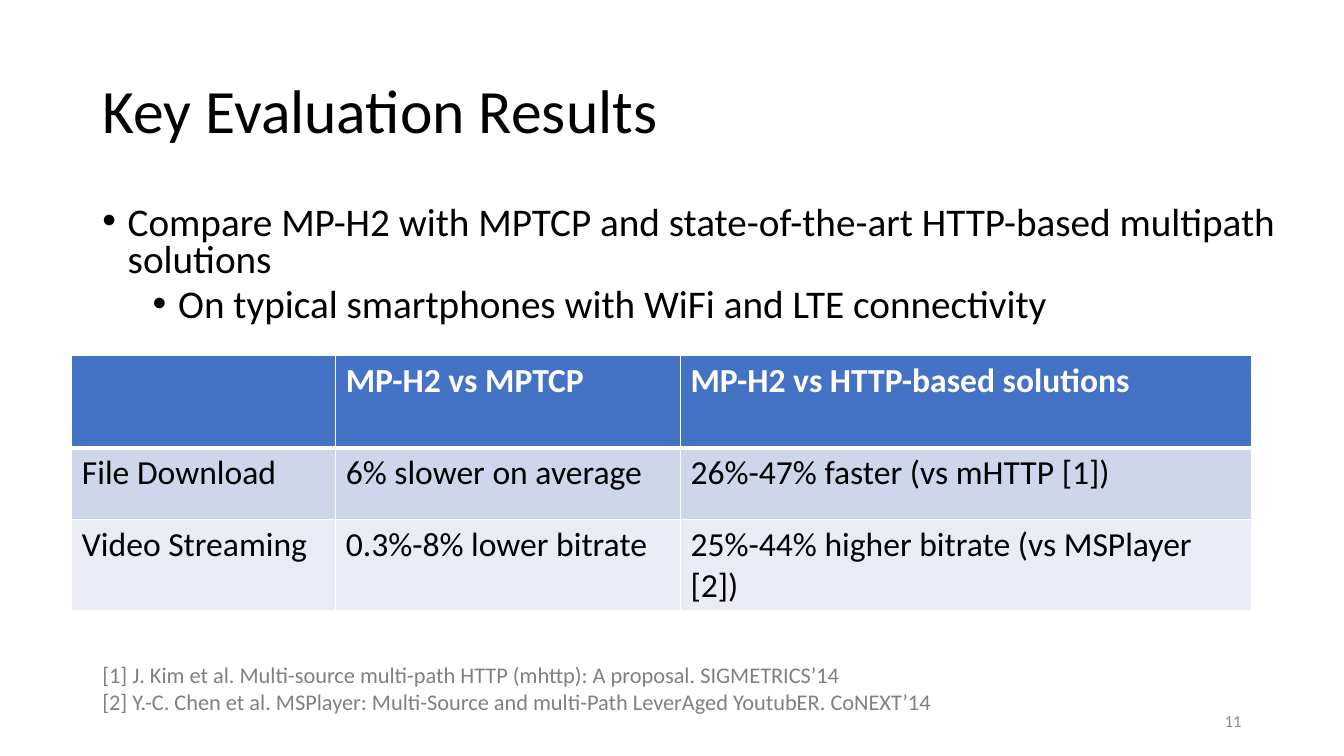
"""Build the slide with the key evaluation results of MP-H2."""
import dataclasses

import lxml.etree
import pptx
import pptx.dml.color
import pptx.enum.text
import pptx.oxml.ns
import pptx.util

Cm, Pt = pptx.util.Cm, pptx.util.Pt
ANCHOR, ALIGN = pptx.enum.text.MSO_ANCHOR, pptx.enum.text.PP_ALIGN


@dataclasses.dataclass(frozen=True)
class Theme:
    font: str = "Calibri"
    ink: str = "000000"
    white: str = "FFFFFF"
    reference: str = "808080"
    number: str = "8C8C8C"
    row_fills: tuple = ("4472C4", "CFD5EA", "E9EBF5")
    title_size: int = 44
    body_size: int = 28
    table_size: int = 24
    reference_size: int = 16
    number_size: int = 12


theme = Theme()


def style(paragraph, size, color, bold=False):
    for run in paragraph.runs:
        run.font.name = theme.font
        run.font.size = Pt(size)
        run.font.bold = bold
        run.font.color.rgb = pptx.dml.color.RGBColor.from_string(color)


def add_element(parent, tag, **attributes):
    return lxml.etree.SubElement(parent, pptx.oxml.ns.qn(tag), attributes)


deck = pptx.Presentation()
deck.slide_width, deck.slide_height = Cm(33.87), Cm(19.05)
slide = deck.slides.add_slide(deck.slide_layouts[5])

title = slide.shapes.title
title.left, title.top, title.width, title.height = Cm(2.33), Cm(1.01), Cm(29.21), Cm(3.68)
title.text_frame.text = "Key Evaluation Results"
title.text_frame.auto_size = pptx.enum.text.MSO_AUTO_SIZE.NONE
title.text_frame.vertical_anchor = ANCHOR.MIDDLE
heading = title.text_frame.paragraphs[0]
heading.alignment = ALIGN.LEFT
heading.line_spacing = 0.9
style(heading, theme.title_size, theme.ink)

points = [
    "Compare MP-H2 with MPTCP and state-of-the-art HTTP-based multipath solutions",
    "On typical smartphones with WiFi and LTE connectivity",
]
comparison = slide.shapes.add_textbox(Cm(2.33), Cm(5.07), Cm(30.6), Cm(3.38)).text_frame
comparison.word_wrap = True
comparison.text = "\n".join(points)
for level, point in enumerate(comparison.paragraphs):
    point.level = level
    point.line_spacing = 0.8
    point.space_before = Pt(5 * level)
    properties = point._p.get_or_add_pPr()
    properties.set("marL", str(Cm(0.64 + 1.27 * level)))
    properties.set("indent", str(Cm(-0.64)))
    add_element(properties, "a:buFont", typeface="Arial")
    add_element(properties, "a:buChar", char="•")
    style(point, theme.body_size, theme.ink)

results = [
    ["", "MP-H2 vs MPTCP", "MP-H2 vs HTTP-based solutions"],
    ["File Download", "6% slower on average", "26%-47% faster (vs mHTTP [1])"],
    ["Video Streaming", "0.3%-8% lower bitrate", "25%-44% higher bitrate (vs MSPlayer [2])"],
]
table = slide.shapes.add_table(3, 3, Cm(1.81), Cm(8.95), Cm(29.74), Cm(5.65)).table
for column, width in zip(table.columns, (6.65, 8.69, 14.4)):
    column.width = Cm(width)
for row, height in zip(table.rows, (2.34, 1.81, 1.5)):
    row.height = Cm(height)
for row_index, row_values in enumerate(results):
    is_header = row_index == 0
    edges = {"L": 1, "R": 1, "T": 3 if row_index == 1 else 1, "B": 3 if is_header else 1}
    for column_index, value in enumerate(row_values):
        cell = table.cell(row_index, column_index)
        cell.text = value
        style(cell.text_frame.paragraphs[0], theme.table_size,
              theme.white if is_header else theme.ink, is_header)
        cell_properties = cell._tc.get_or_add_tcPr()
        for side, width in edges.items():
            edge = add_element(cell_properties, f"a:ln{side}", w=str(Pt(width)))
            add_element(add_element(edge, "a:solidFill"), "a:srgbClr", val=theme.white)
        cell.fill.solid()
        cell.fill.fore_color.rgb = pptx.dml.color.RGBColor.from_string(theme.row_fills[row_index])

references = slide.shapes.add_textbox(Cm(2.33), Cm(16.54), Cm(24.79), Cm(1.63)).text_frame
references.word_wrap = True
citations = references.paragraphs[0]
citations.text = (
    "[1] J. Kim et al. Multi-source multi-path HTTP (mhttp): A proposal. SIGMETRICS’14\n"
    "[2] Y.-C. Chen et al. MSPlayer: Multi-Source and multi-Path LeverAged YoutubER. CoNEXT’14"
)
style(citations, theme.reference_size, theme.reference)

page = slide.shapes.add_textbox(Cm(23.92), Cm(17.66), Cm(7.62), Cm(1.01)).text_frame
page.word_wrap = True
page.vertical_anchor = ANCHOR.MIDDLE
page.text = "11"
page.paragraphs[0].alignment = ALIGN.RIGHT
style(page.paragraphs[0], theme.number_size, theme.number)

deck.save("out.pptx")
